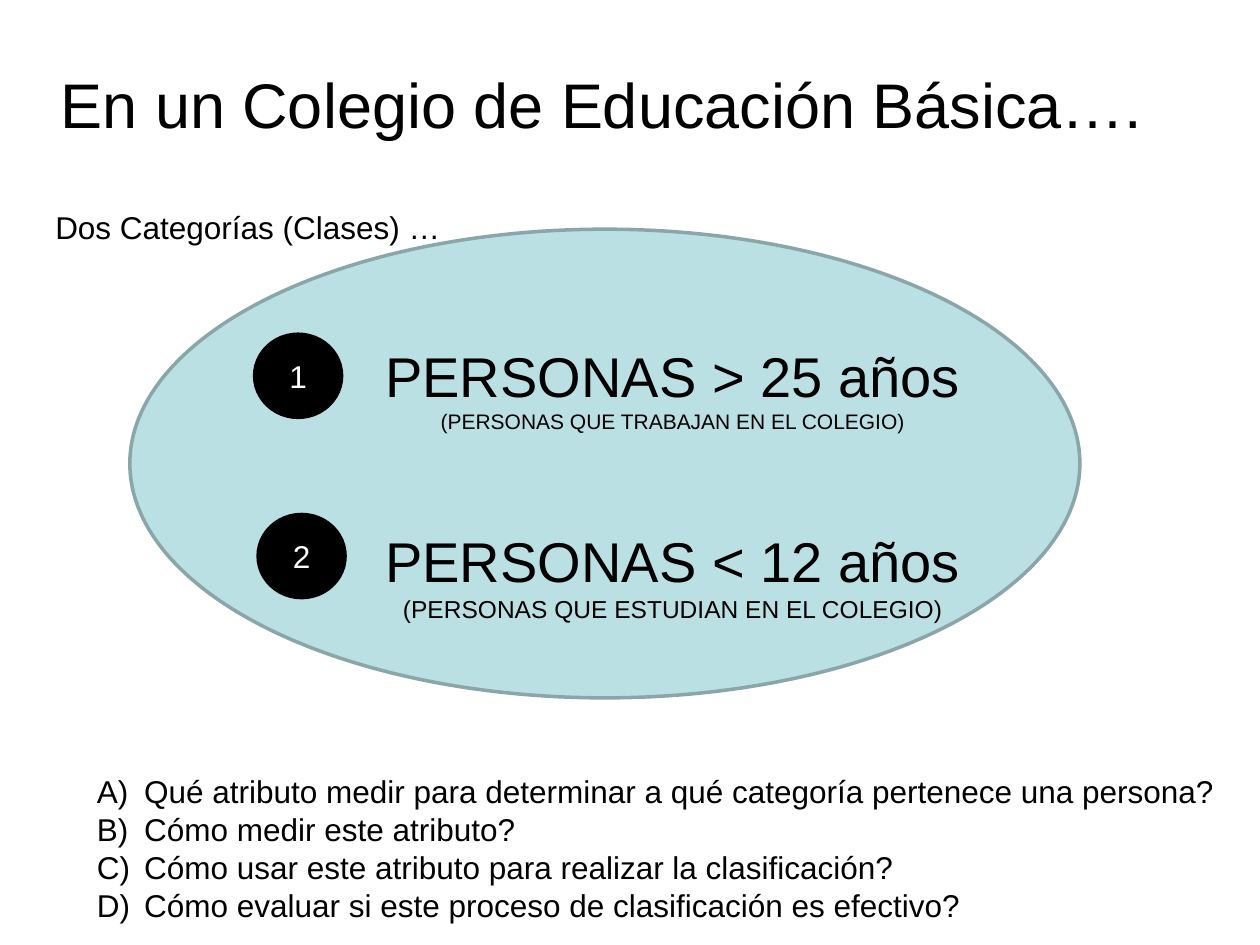
from lxml import etree
from pptx import Presentation
from pptx.dml.color import RGBColor
from pptx.enum.shapes import MSO_SHAPE
from pptx.enum.text import MSO_ANCHOR, MSO_AUTO_SIZE, PP_ALIGN
from pptx.oxml.ns import qn
from pptx.util import Pt

OVAL = MSO_SHAPE.OVAL
LEFT, CENTER = PP_ALIGN.LEFT, PP_ALIGN.CENTER
TOP, MIDDLE = MSO_ANCHOR.TOP, MSO_ANCHOR.MIDDLE
FONT = "Arial"
COLORS = {"black": "000000", "white": "FFFFFF", "aqua": "BBE0E3", "edge": "8AA6A8"}

# Content
TITLE = "En un Colegio de Educación Básica…."
INTRO = "Dos Categorías (Clases) …"
# number, circle left and top, label top and height, lines with sizes
GROUPS = [
    ("1", 145.5, 191, 191.5, 60.5,
     [("PERSONAS > 25 años", 32), ("(PERSONAS QUE TRABAJAN EN EL COLEGIO)", 12)]),
    ("2", 147.5, 294, 297.4, 63.4,
     [("PERSONAS < 12 años", 32), ("(PERSONAS QUE ESTUDIAN EN EL COLEGIO)", 14)]),
]
TASKS = [
    "Qué atributo medir para determinar a qué categoría pertenece una persona?",
    "Cómo medir este atributo?",
    "Cómo usar este atributo para realizar la clasificación?",
    "Cómo evaluar si este proceso de clasificación es efectivo?",
]


def rgb(name):
    return RGBColor.from_string(COLORS[name])


def place(shape, box):
    shape.left, shape.top, shape.width, shape.height = map(Pt, box)


def write(shape, lines, align=LEFT, color="black", anchor=TOP):
    frame = shape.text_frame
    frame.text = "\n".join(text for text, size in lines)
    frame.word_wrap = False
    frame.auto_size = MSO_AUTO_SIZE.NONE
    frame.vertical_anchor = anchor
    for para, (text, size) in zip(frame.paragraphs, lines):
        para.alignment = align
        para.space_before = Pt(0)
        for run in para.runs:
            run.font.name = FONT
            run.font.size = Pt(size)
            run.font.color.rgb = rgb(color)


def add_oval(slide, box, fill, line):
    oval = slide.shapes.add_shape(OVAL, *map(Pt, box))
    oval.shadow.inherit = False
    oval.fill.solid()
    oval.fill.fore_color.rgb = rgb(fill)
    oval.line.color.rgb = rgb(line)
    oval.line.width = Pt(2)
    return oval


def add_label(slide, box, lines, align=LEFT):
    write(slide.shapes.add_textbox(*map(Pt, box)), lines, align)


def number(para, indent):
    props = para._p.get_or_add_pPr()
    props.set("marL", str(Pt(indent)))
    props.set("indent", str(-Pt(indent)))
    etree.SubElement(props, qn("a:buFont")).set("typeface", FONT)
    etree.SubElement(props, qn("a:buAutoNum")).set("type", "alphaUcParenR")


def main():
    prs = Presentation()
    prs.slide_width, prs.slide_height = Pt(720), Pt(540)
    slide = prs.slides.add_slide(prs.slide_layouts[1])

    # Title and lettered questions
    title, body = slide.placeholders
    place(title, (27.4, 33.8, 638.6, 51))
    write(title, [(TITLE, 36)])
    place(body, (48.2, 437.8, 658.8, 94.3))
    write(body, [(task, 18) for task in TASKS])
    for para in body.text_frame.paragraphs:
        number(para, 27)

    # School population with its two classes
    add_oval(slide, (74.2, 131, 542.9, 267.8), "aqua", "edge")
    add_label(slide, (24.5, 115.2, 236.9, 28.8), [(INTRO, 18)])
    for digit, left, top, y, high, lines in GROUPS:
        dot = add_oval(slide, (left, top, 49.7, 47.5), "black", "black")
        write(dot, [(digit, 18)], CENTER, "white", MIDDLE)
        add_label(slide, (211.7, y, 345.6, high), lines, CENTER)

    prs.save("out.pptx")


if __name__ == "__main__":
    main()
